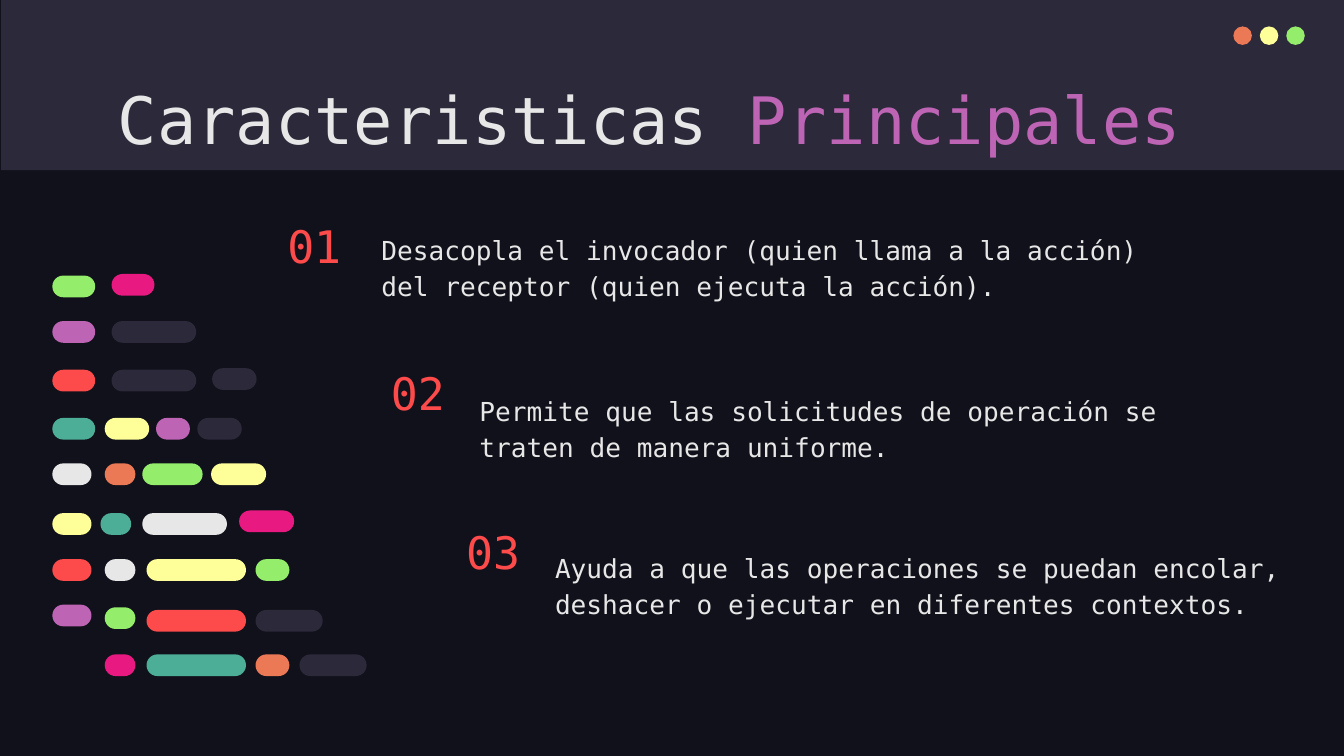
from pptx import Presentation
from pptx.dml.color import RGBColor
from pptx.enum.shapes import MSO_SHAPE
from pptx.enum.text import MSO_ANCHOR
from pptx.util import Cm, Pt

NIGHT = RGBColor(0x10, 0x11, 0x1A)
SLATE = RGBColor(0x2C, 0x29, 0x3A)
WHITE = RGBColor(0xE7, 0xE7, 0xE7)
ORANGE = RGBColor(0xEC, 0x79, 0x55)
YELLOW = RGBColor(0xFF, 0xFF, 0x99)
GREEN = RGBColor(0x94, 0xEE, 0x6B)
PINK = RGBColor(0xE8, 0x1A, 0x81)
PURPLE = RGBColor(0xBD, 0x64, 0xB5)
RED = RGBColor(0xFD, 0x4A, 0x4A)
TEAL = RGBColor(0x4C, 0xAE, 0x97)

FONT = "DejaVu Sans Mono"
MARGIN = 0.25
TITLE = [("Caracteristicas ", WHITE), ("Principales", PURPLE)]

# number, its left and top, text, its left, top, width and height (cm)
FEATURES = [
    ("01", 5.18, 4.09,
     "Desacopla el invocador (quien llama a la acción) del receptor (quien ejecuta la acción).",
     6.96, 4.09, 15.75, 2.39),
    ("02", 7.14, 6.88,
     "Permite que las solicitudes de operación se traten de manera uniforme.",
     8.81, 7.14, 14.58, 2.03),
    ("03", 8.56, 9.88,
     "Ayuda a que las operaciones se puedan encolar, deshacer o ejecutar en diferentes contextos.",
     10.24, 10.11, 14.58, 2.03),
]

# Rows of code pills: top, then left, width, colour and offset from the top (cm)
PILL_HEIGHT = 0.41
PILL_ROWS = [
    (5.21, [(0.99, 0.81, GREEN, 0), (2.11, 0.81, PINK, -0.03)]),
    (6.07, [(0.99, 0.81, PURPLE, 0), (2.11, 1.6, SLATE, 0)]),
    (6.99, [(0.99, 0.81, RED, 0), (2.11, 1.6, SLATE, 0), (4.01, 0.84, SLATE, -0.03)]),
    (7.9, [(0.99, 0.81, TEAL, 0), (1.98, 0.84, YELLOW, 0), (2.95, 0.64, PURPLE, 0),
           (3.73, 0.84, SLATE, 0)]),
    (8.76, [(0.99, 0.74, WHITE, 0), (1.98, 0.58, ORANGE, 0), (2.69, 1.14, GREEN, 0),
            (3.99, 1.04, YELLOW, 0)]),
    (9.7, [(0.99, 0.74, YELLOW, 0), (1.9, 0.58, TEAL, 0), (2.69, 1.6, WHITE, 0),
           (4.52, 1.04, PINK, -0.05)]),
    (10.57, [(0.99, 0.74, RED, 0), (1.98, 0.58, WHITE, 0), (2.77, 1.88, YELLOW, 0),
             (4.83, 0.64, GREEN, 0)]),
    (11.43, [(0.99, 0.74, PURPLE, 0), (1.98, 0.58, GREEN, 0.05), (2.77, 1.88, RED, 0.1),
             (4.83, 1.27, SLATE, 0.1)]),
    (12.37, [(1.98, 0.58, PINK, 0), (2.77, 1.88, TEAL, 0), (4.83, 0.64, ORANGE, 0),
             (5.66, 1.27, SLATE, 0)]),
]


def add_plain_shape(page, kind, left, top, width, height, colour):
    shape = page.shapes.add_shape(kind, Cm(left), Cm(top), Cm(width), Cm(height))
    shape.shadow.inherit = False
    shape.fill.solid()
    shape.fill.fore_color.rgb = colour
    shape.line.fill.background()
    return shape


def add_text(page, left, top, width, height, spans, size,
             anchor=MSO_ANCHOR.TOP, line_spacing=1.0):
    """Add a one-paragraph box; spans are (text, colour) pairs."""
    box = page.shapes.add_textbox(Cm(left), Cm(top), Cm(width), Cm(height))
    frame = box.text_frame
    frame_format = {"word_wrap": True, "vertical_anchor": anchor}
    for side in ("left", "top", "right", "bottom"):
        frame_format[f"margin_{side}"] = Cm(MARGIN)
    for name, value in frame_format.items():
        setattr(frame, name, value)
    para = frame.paragraphs[0]
    para.line_spacing = line_spacing
    for text, colour in spans:
        span = para.add_run()
        span.text = text
        for name, value in {"name": FONT, "size": Pt(size)}.items():
            setattr(span.font, name, value)
        span.font.color.rgb = colour


def main():
    deck = Presentation()
    deck.slide_width, deck.slide_height = Cm(25.4), Cm(14.29)
    page = deck.slides.add_slide(deck.slide_layouts[6])
    page.background.fill.solid()
    page.background.fill.fore_color.rgb = NIGHT

    add_plain_shape(page, MSO_SHAPE.RECTANGLE, 0.02, 0, 25.4, 3.22, SLATE)
    for index, colour in enumerate((ORANGE, YELLOW, GREEN)):
        add_plain_shape(page, MSO_SHAPE.OVAL, 23.31 + index * 0.5, 0.5, 0.35, 0.35, colour)
    add_text(page, 1.98, 1.24, 21.41, 1.6, TITLE, 35)

    for row_top, pills in PILL_ROWS:
        for left, width, colour, offset in pills:
            pill = add_plain_shape(page, MSO_SHAPE.ROUNDED_RECTANGLE,
                                   left, row_top + offset, width, PILL_HEIGHT, colour)
            pill.adjustments[0] = 0.5

    for number, number_left, number_top, text, left, top, width, height in FEATURES:
        add_text(page, number_left, number_top, 1.68, 1.09, [(number, RED)], 24,
                 anchor=MSO_ANCHOR.MIDDLE)
        add_text(page, left, top, width, height, [(text, WHITE)], 14, line_spacing=1.15)

    deck.save("out.pptx")


if __name__ == "__main__":
    main()
